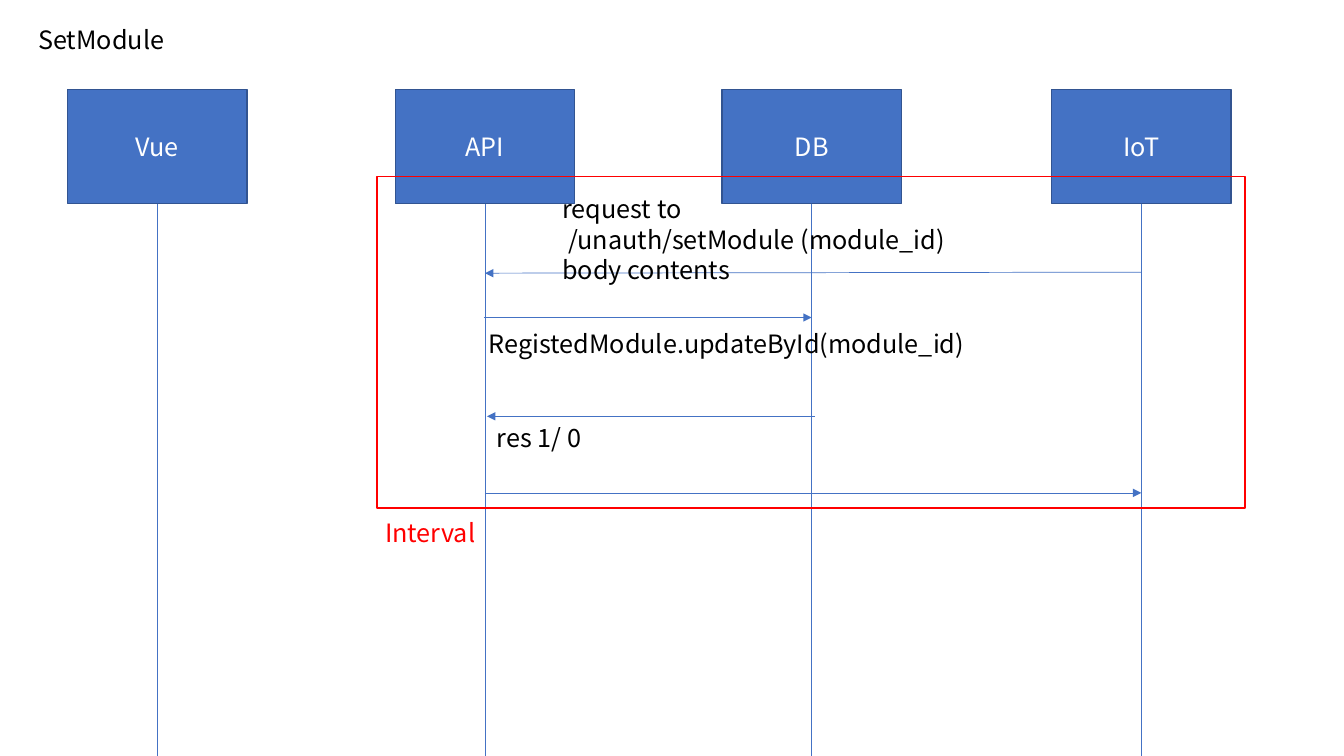
import pptx
import pptx.util
import pptx.dml.color
import pptx.enum.shapes
import pptx.enum.text
import pptx.oxml.ns
import lxml.etree
from dataclasses import dataclass

Inches, Pt = pptx.util.Inches, pptx.util.Pt
RGB = pptx.dml.color.RGBColor.from_string
ALIGN, ANCHOR = pptx.enum.text.PP_ALIGN, pptx.enum.text.MSO_ANCHOR


@dataclass(frozen=True)
class Theme:
    font: str = "Noto Sans CJK KR"
    size: float = 18
    leading: float = 21.8
    blue: str = "4472C4"
    edge: str = "325491"
    red: str = "FF0000"
    black: str = "000000"
    white: str = "FFFFFF"
    thin: float = 0.5
    border: float = 1


T = Theme()

# Content: participants, messages and labels
TITLE = ("SetModule", 0.28, 0.19, 2.71, 0.4)
PARTICIPANTS = [("Vue", 0.67), ("API", 3.92), ("DB", 7.16), ("IoT", 10.43)]
MESSAGES = [  # sender, receiver, start y, end y, shift of start and end x
    ("API", "IoT", 4.89, 4.89, 0, 0),
    ("API", "DB", 3.15, 3.15, -0.01, 0),
    ("IoT", "API", 2.7, 2.71, 0, 0),
    ("DB", "API", 4.13, 4.13, 0.03, 0.02),
]
LABELS = [  # lines, left, top, width, height, colour
    (["request to", " /unauth/setModule (module_id)", "body contents"],
     5.48, 1.87, 5.68, 1.01, T.black),
    (["RegistedModule.updateById(module_id)"], 4.75, 3.21, 5.68, 0.4, T.black),
    (["res 1/ 0"], 4.83, 4.14, 5.68, 0.4, T.black),
    (["Interval"], 3.72, 5.08, 2.88, 0.4, T.red),
]
INTERVAL = (3.74, 1.75, 8.61, 3.29)

# Layout
SLIDE_W, SLIDE_H = 13.33, 7.5
HEAD_TOP, HEAD_W, HEAD_H = 0.89, 1.78, 1.13
LIFELINE_X = {name: left + HEAD_W / 2 for name, left in PARTICIPANTS}


def write(tf, lines, color, align=ALIGN.LEFT, anchor=ANCHOR.TOP):
    tf.word_wrap = True
    tf.auto_size = pptx.enum.text.MSO_AUTO_SIZE.NONE
    tf.vertical_anchor = anchor
    for i, line in enumerate(lines):
        p = tf.paragraphs[0] if i == 0 else tf.add_paragraph()
        p.alignment = align
        p.line_spacing = Pt(T.leading)
        r = p.add_run()
        r.text = line
        r.font.name, r.font.size = T.font, Pt(T.size)
        r.font.color.rgb = RGB(color)
        ea = lxml.etree.SubElement(r.font._element, pptx.oxml.ns.qn("a:ea"))
        ea.set("typeface", T.font)


def add_box(box, line, fill=None):
    sp = s.shapes.add_shape(pptx.enum.shapes.MSO_SHAPE.RECTANGLE, *map(Inches, box))
    sp.shadow.inherit = False
    if fill:
        sp.fill.solid()
        sp.fill.fore_color.rgb = RGB(fill)
    else:
        sp.fill.background()
    sp.line.color.rgb, sp.line.width = RGB(line), Pt(T.border)
    return sp


def add_line(x1, y1, x2, y2, arrow=False):
    cx = s.shapes.add_connector(pptx.enum.shapes.MSO_CONNECTOR.STRAIGHT,
                                *map(Inches, (x1, y1, x2, y2)))
    cx.line.color.rgb, cx.line.width = RGB(T.blue), Pt(T.thin)
    if arrow:
        tail = lxml.etree.SubElement(cx.line._get_or_add_ln(), pptx.oxml.ns.qn("a:tailEnd"))
        tail.set("type", "triangle")
    lxml.etree.SubElement(cx._element.spPr, pptx.oxml.ns.qn("a:effectLst"))


prs = pptx.Presentation()
prs.slide_width, prs.slide_height = Inches(SLIDE_W), Inches(SLIDE_H)
s = prs.slides.add_slide(prs.slide_layouts[5])

# Title
title = s.shapes.title
title.left, title.top, title.width, title.height = map(Inches, TITLE[1:])
write(title.text_frame, TITLE[:1], T.black)

# Participants and lifelines
for name, left in PARTICIPANTS:
    sp = add_box((left, HEAD_TOP, HEAD_W, HEAD_H), T.edge, T.blue)
    write(sp.text_frame, [name], T.white, ALIGN.CENTER, ANCHOR.MIDDLE)
for x in LIFELINE_X.values():
    add_line(x, HEAD_TOP + HEAD_H, x, SLIDE_H)

# Messages
for sender, receiver, y1, y2, dx1, dx2 in MESSAGES:
    add_line(LIFELINE_X[sender] + dx1, y1, LIFELINE_X[receiver] + dx2, y2, arrow=True)

# Interval frame and labels
add_box(INTERVAL, T.red)
for lines, left, top, width, height, color in LABELS:
    tb = s.shapes.add_textbox(*map(Inches, (left, top, width, height)))
    write(tb.text_frame, lines, color)

prs.save("out.pptx")
